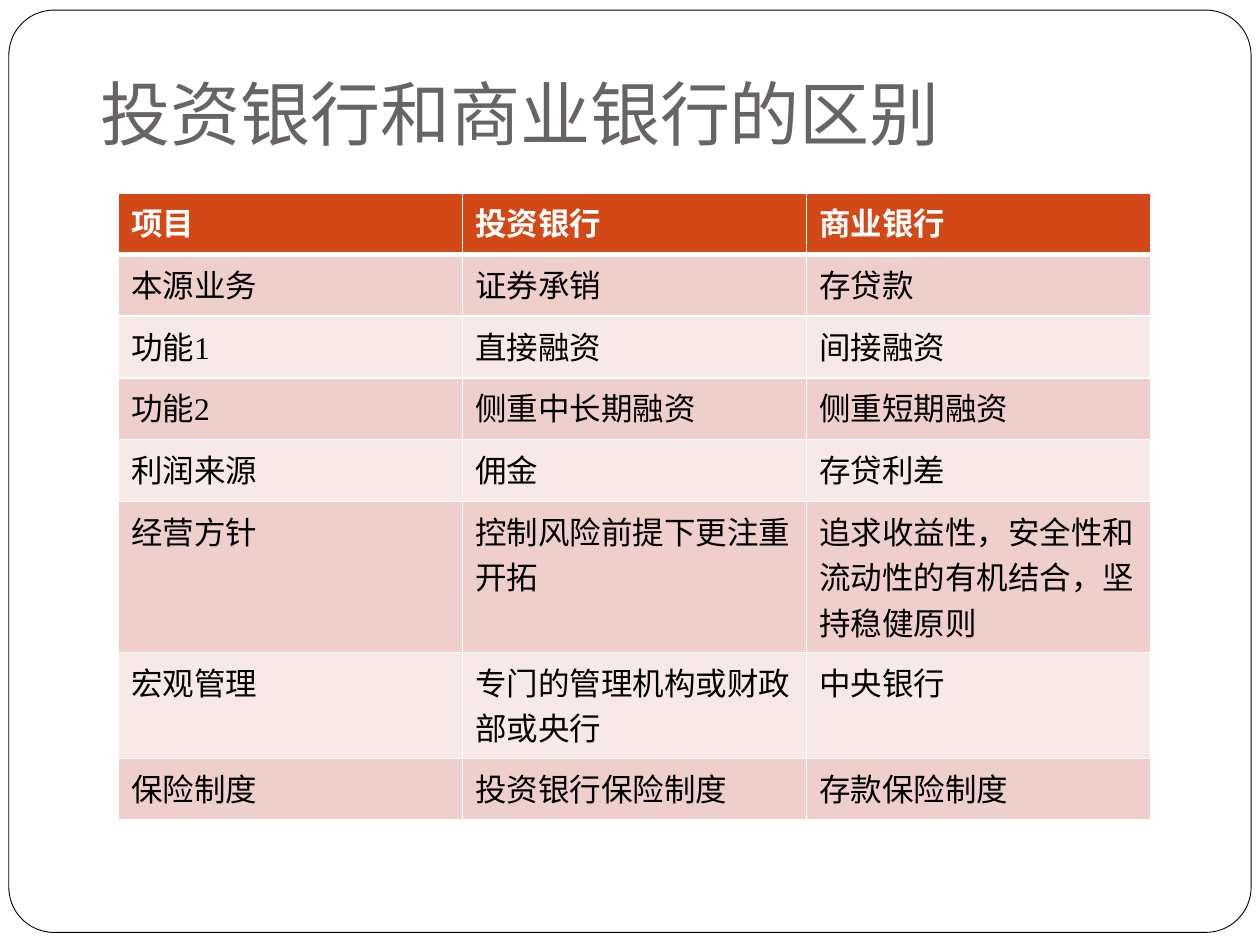
"""Build a slide comparing investment banks with commercial banks."""
from dataclasses import dataclass

from lxml import etree
from pptx import Presentation
from pptx import util as u
from pptx.dml import color
from pptx.enum import shapes, text
from pptx.oxml import ns

COLORS = {
    "white": "FFFFFF",
    "black": "000000",
    "title": "696464",
    "header": "D34817",
    "dark_band": "EFCFCC",
    "light_band": "F7E9E8",
}


@dataclass(frozen=True)
class ComparisonRow:
    item: str
    investment: str
    commercial: str
    height: float = 0.49


ROWS = [
    ComparisonRow("项目", "投资银行", "商业银行"),
    ComparisonRow("本源业务", "证券承销", "存贷款"),
    ComparisonRow("功能1", "直接融资", "间接融资"),
    ComparisonRow("功能2", "侧重中长期融资", "侧重短期融资"),
    ComparisonRow("利润来源", "佣金", "存贷利差"),
    ComparisonRow("经营方针", "控制风险前提下更注重开拓",
                  "追求收益性，安全性和流动性的有机结合，坚持稳健原则", 1.2),
    ComparisonRow("宏观管理", "专门的管理机构或财政部或央行", "中央银行", 0.84),
    ComparisonRow("保险制度", "投资银行保险制度", "存款保险制度"),
]
COLUMN_WIDTH = 2.73


def rgb(name: str) -> color.RGBColor:
    return color.RGBColor.from_string(COLORS[name])


def add_run(para, words: str, size: float, font: str, tint: str, bold: bool = False) -> None:
    span = para.add_run()
    span.text = words
    span.font.size = u.Pt(size)
    span.font.name = font
    span.font.bold = bold
    span.font.color.rgb = rgb(tint)


def add_border(cell, side: str, points: float) -> None:
    line = etree.SubElement(cell._tc.get_or_add_tcPr(), ns.qn(f"a:ln{side}"),
                            w=str(u.Pt(points)))
    fill = etree.SubElement(line, ns.qn("a:solidFill"))
    etree.SubElement(fill, ns.qn("a:srgbClr"), val=COLORS["white"])


def add_frame(page) -> None:
    frame = page.shapes.add_shape(shapes.MSO_SHAPE.ROUNDED_RECTANGLE, u.Inches(0.07),
                                  u.Inches(0.08), u.Inches(9.86), u.Inches(7.32))
    frame.adjustments[0] = 0.049
    frame.shadow.inherit = False
    frame.fill.solid()
    frame.fill.fore_color.rgb = rgb("white")
    frame.line.color.rgb = rgb("black")
    frame.line.width = u.Pt(0.5)


def add_title(page, words: str) -> None:
    box = page.shapes.add_textbox(u.Inches(0.7), u.Inches(0.21), u.Inches(8.52), u.Inches(1.12))
    body = box.text_frame
    body.word_wrap = True
    body.vertical_anchor = text.MSO_ANCHOR.BOTTOM
    body.margin_bottom = u.Inches(0.1)
    add_run(body.paragraphs[0], words, 40, "Lato", "title")


def fill_cell(cell, words: str, row_index: int) -> None:
    is_header = row_index == 0
    borders = {"L": 1, "R": 1, "T": 3 if row_index == 1 else 1, "B": 3 if is_header else 1}
    for side, points in borders.items():
        add_border(cell, side, points)
    band = "header" if is_header else "dark_band" if row_index % 2 else "light_band"
    cell.fill.solid()
    cell.fill.fore_color.rgb = rgb(band)
    add_run(cell.text_frame.paragraphs[0], words, 18, "Times New Roman",
            "white" if is_header else "black", is_header)


def add_comparison(page, rows: list[ComparisonRow]) -> None:
    height = sum(row.height for row in rows)
    table = page.shapes.add_table(len(rows), 3, u.Inches(0.94), u.Inches(1.53),
                                  u.Inches(3 * COLUMN_WIDTH), u.Inches(height)).table
    for column in table.columns:
        column.width = u.Inches(COLUMN_WIDTH)
    for row_index, row in enumerate(rows):
        table.rows[row_index].height = u.Inches(row.height)
        for column_index, words in enumerate((row.item, row.investment, row.commercial)):
            fill_cell(table.cell(row_index, column_index), words, row_index)


def main() -> None:
    deck = Presentation()
    deck.slide_width, deck.slide_height = u.Inches(10), u.Inches(7.5)
    page = deck.slides.add_slide(deck.slide_layouts[6])
    add_frame(page)
    add_title(page, "投资银行和商业银行的区别")
    add_comparison(page, ROWS)
    deck.save("out.pptx")


main()
